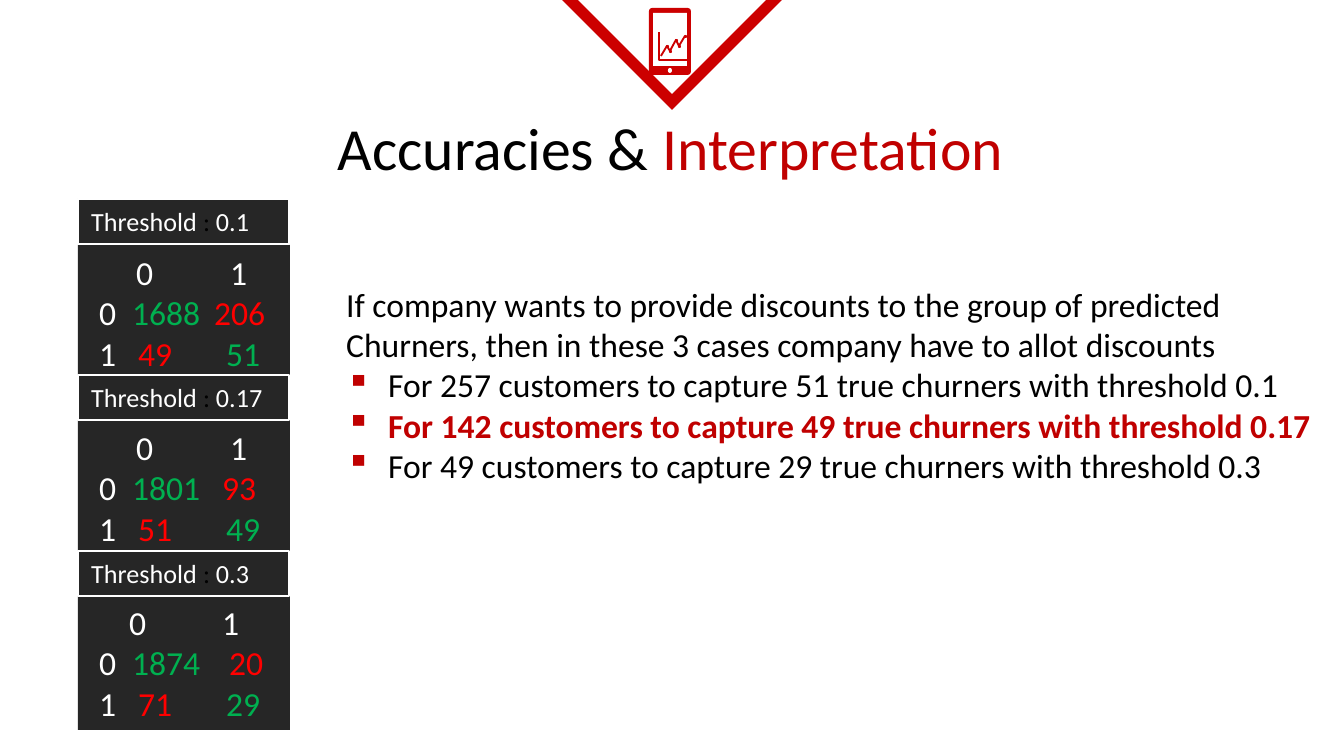
from lxml import etree
from pptx import Presentation, util as u
from pptx.dml.color import RGBColor
from pptx.enum import shapes, text
from pptx.oxml.ns import qn

PX = 914400 / 134.4
FONT = "Calibri"
BLACK, WHITE, DARK = "000000", "FFFFFF", "262626"
BRAND, ACCENT, GOOD, BAD = "CC0000", "C00000", "00B050", "FF0000"

TITLE = [("Accuracies & ", BLACK), ("Interpretation", ACCENT)]
INTRO = [
    "If company wants to provide discounts to the group of predicted",
    "Churners, then in these 3 cases company have to allot discounts",
]
CASES = [
    ("For 257 customers to capture 51 true churners with threshold 0.1", False),
    ("For 142 customers to capture 49 true churners with threshold 0.17", True),
    ("For 49 customers to capture 29 true churners with threshold 0.3", False),
]
THRESHOLDS = [
    ("0.1", (("1688", "206"), ("49", "51")), ((45, 139), (41, 123), (47, 135))),
    ("0.17", (("1801", "93"), ("51", "49")), ((45, 139), (41, 131), (47, 135))),
    ("0.3", (("1874", "20"), ("71", "29")), ((38, 131), (41, 138), (47, 135))),
]
CELL_COLOURS = ((GOOD, BAD), (BAD, GOOD))
AXES = [(659, 32), (659, 60), (687, 60)]
TREND = [(661, 56), (667, 46), (670, 51), (676, 40), (679, 46), (685, 36)]


def px(n):
    return u.Emu(round(n * PX))


def rgb(colour):
    return RGBColor.from_string(colour)


def style(sp, fill=None, line=None, width=0.75):
    sp.shadow.inherit = False
    if fill:
        sp.fill.solid()
        sp.fill.fore_color.rgb = rgb(fill)
    else:
        sp.fill.background()
    if line:
        sp.line.color.rgb = rgb(line)
        sp.line.width = u.Pt(width)
    else:
        sp.line.fill.background()


def add_shape(s, kind, x, y, w, h, **look):
    sp = s.shapes.add_shape(kind, px(x), px(y), px(w), px(h))
    style(sp, **look)
    return sp


def add_path(s, points):
    fb = s.shapes.build_freeform(*points[0], scale=PX)
    fb.add_line_segments(points[1:], close=False)
    style(fb.convert_to_shape(), line=BRAND, width=1)


def add_run(p, words, colour, size, bold=False):
    r = p.add_run()
    r.text = words
    f = r.font
    f.name, f.size, f.bold = FONT, u.Pt(size), bold
    f.color.rgb = rgb(colour)


def next_paragraph(tf, first):
    p = tf.paragraphs[0] if first else tf.add_paragraph()
    p.alignment = text.PP_ALIGN.LEFT
    return p


def set_tabs(p, stops):
    tabs = etree.SubElement(p._p.get_or_add_pPr(), qn("a:tabLst"))
    for stop in stops:
        etree.SubElement(tabs, qn("a:tab"), pos=str(px(stop)), algn="l")


def set_bullet(p):
    pPr = p._p.get_or_add_pPr()
    pPr.set("marL", str(px(42)))
    pPr.set("indent", str(-px(42)))
    colour = etree.SubElement(pPr, qn("a:buClr"))
    etree.SubElement(colour, qn("a:srgbClr"), val=ACCENT)
    etree.SubElement(pPr, qn("a:buChar"), char="▪")


def add_emblem(s):
    kinds = shapes.MSO_SHAPE
    sp = add_shape(s, kinds.ISOSCELES_TRIANGLE, 562, -8, 220, 110, line=BRAND, width=6)
    sp.rotation = 180
    etree.SubElement(sp.line._get_or_add_ln(), qn("a:miter"), lim="800000")
    phone = add_shape(s, kinds.ROUNDED_RECTANGLE, 649, 8, 42, 67, fill=BRAND)
    phone.adjustments[0] = 0.08
    add_shape(s, kinds.RECTANGLE, 653, 13, 34, 53, fill=WHITE)
    add_shape(s, kinds.OVAL, 668, 68, 4, 5, fill=WHITE)
    add_path(s, AXES)
    add_path(s, TREND)
    for x, y in TREND[1:]:
        add_shape(s, kinds.OVAL, x - 1, y - 1, 3, 3, fill=BRAND)


def add_title(s):
    sp = s.shapes.title
    sp.left, sp.top, sp.width, sp.height = px(245), px(98), px(851), px(79)
    tf = sp.text_frame
    tf.auto_size = text.MSO_AUTO_SIZE.NONE
    tf.vertical_anchor = text.MSO_ANCHOR.TOP
    tf.margin_top = tf.margin_bottom = px(13)
    p = tf.paragraphs[0]
    p.alignment = text.PP_ALIGN.CENTER
    for words, colour in TITLE:
        add_run(p, words, colour, 32)


def add_interpretation(s):
    tf = s.shapes.add_textbox(px(333), px(277), px(995), px(339)).text_frame
    tf.word_wrap = True
    for i, words in enumerate(INTRO):
        add_run(next_paragraph(tf, i == 0), words, BLACK, 18)
    for words, chosen in CASES:
        p = next_paragraph(tf, False)
        set_bullet(p)
        add_run(p, words, ACCENT if chosen else BLACK, 18, chosen)


def add_matrix(s, top, counts, stops):
    sp = add_shape(s, shapes.MSO_SHAPE.RECTANGLE, 78, top, 212, 135, fill=DARK)
    rows = [[("0", WHITE), ("1", WHITE)]]
    for label, (values, colours) in enumerate(zip(counts, CELL_COLOURS)):
        rows.append([(str(label), WHITE), *zip(values, colours)])
    for i, (row, row_stops) in enumerate(zip(rows, stops)):
        p = next_paragraph(sp.text_frame, i == 0)
        set_tabs(p, row_stops if i == 0 else (8, *row_stops))
        for words, colour in row:
            add_run(p, "\t" + words, colour, 18)


def add_threshold(s, top, value):
    sp = add_shape(s, shapes.MSO_SHAPE.RECTANGLE, 78, top, 211, 45, fill=DARK, line=WHITE)
    p = next_paragraph(sp.text_frame, True)
    for words, colour in (("Threshold", WHITE), (" : ", BLACK), (value, WHITE)):
        add_run(p, words, colour, 14)


def main():
    prs = Presentation()
    prs.slide_width, prs.slide_height = px(1344), px(756)
    s = prs.slides.add_slide(prs.slide_layouts[5])
    add_emblem(s)
    add_title(s)
    add_interpretation(s)
    for i, (_, counts, stops) in enumerate(THRESHOLDS):
        add_matrix(s, 245 + 175 * i, counts, stops)
    for i, (value, _, _) in enumerate(THRESHOLDS):
        add_threshold(s, 199 + 176 * i, value)
    prs.save("out.pptx")


if __name__ == "__main__":
    main()
